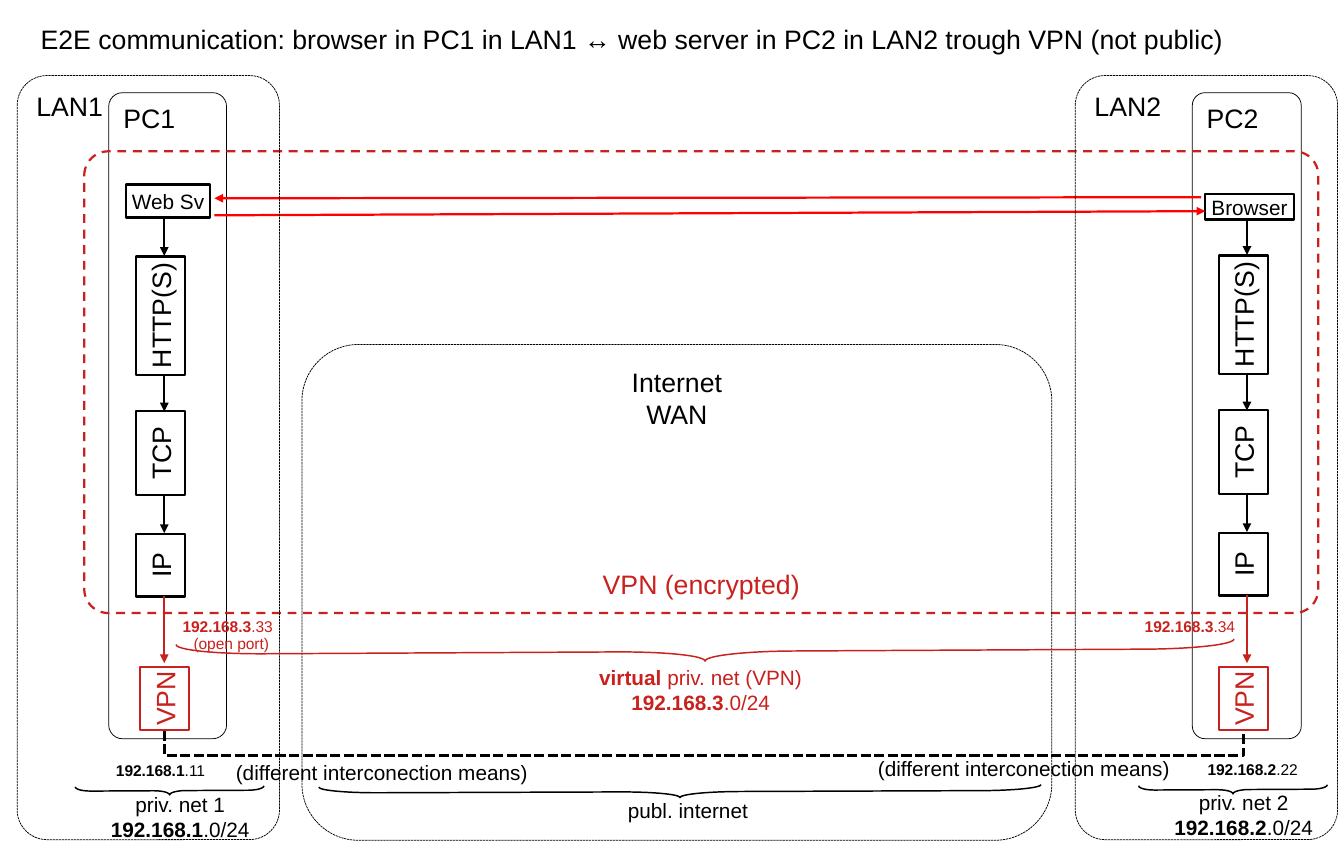
from lxml import etree
from pptx import Presentation
from pptx.dml.color import RGBColor
from pptx.enum import dml, shapes, text
from pptx.oxml import ns
from pptx.util import Pt

INK, RED, HOT = "000000", "C9211E", "FF0000"
MID, TOP, LOW = (text.MSO_ANCHOR.MIDDLE, text.MSO_ANCHOR.TOP, text.MSO_ANCHOR.BOTTOM)
MAIN, LEFT = text.PP_ALIGN.CENTER, text.PP_ALIGN.LEFT
RECT, ROUND = shapes.MSO_SHAPE.RECTANGLE, shapes.MSO_SHAPE.ROUNDED_RECTANGLE
DOTS, DASH = dml.MSO_LINE.SQUARE_DOT, dml.MSO_LINE.DASH
WIDE, NEAR = (8, 4), (7.2, 3.6)  # text insets: side, top

# Content: *stars* mark bold, a list item is a paragraph
TITLE = ("E2E communication: browser in PC1 in LAN1 ↔ web server in PC2 "
         "in LAN2 trough VPN (not public)")
HOSTS = [("PC1", (73.4, 62.6, 79.6, 436.3)), ("PC2", (804.8, 62.6, 73.6, 436.3))]
LANS = [("LAN2", 725.8), ("LAN1", 11.6)]
APPS = [("Web Sv", (85, 124.6, 56.9, 22.3)), ("Browser", (813.6, 131, 59.8, 17.3))]
# Each stack: box centre, VPN centre, arrow x, vertical shift
STACKS = [(108.3, 111.2, 110.9, 0), (839.2, 839.2, 841.7, -0.7)]
LAYERS = [("HTTP(S)", 213.1, 79.9), ("TCP", 306, 56.9), ("IP", 381.6, 42.5)]
STEPS = [(148, 172.8), (253.4, 277.9), (334.8, 360)]
FLOWS = [(810.7, 133.2, 144.7, 133.9), (144.7, 145.4, 813.6, 142.6)]
NOTES = [  # lines, centre x, centre y, size, colour
    (["*virtual* priv. net (VPN)", "*192.168.3*.0/24"], 473, 465.5, 14, RED),
    (["*192.168.3*.33"], 153.7, 423, 10.5, RED),
    (["*192.168.3*.34"], 803.2, 423, 10.5, RED),
    (["(open port)"], 156.2, 434.5, 10.5, RED),
    (["priv. net 2", "*192.168.2*.0/24"], 839.5, 550.4, 14, INK),
    (["*192.168.2*.22"], 845.6, 519.5, 10.5, INK),
    (["priv. net 1", "*192.168.1*.0/24"], 121.7, 551.2, 14, INK),
    (["*192.168.1*.11"], 108.4, 520.2, 10.5, INK),
    (["publ. internet"], 464.4, 546.9, 14, INK),
    (["(different interconection means)"], 257.8, 521.6, 14, INK),
    (["(different interconection means)"], 691.2, 518.8, 14, INK)]
BRACES = [  # centre x, centre y, depth, length, turn, colour
    (475.9, 439.9, 13, 714.2, 269.7, RED), (832.3, 533.2, 5.8, 127.4, 269.7, INK),
    (114.5, 533.9, 5.8, 127.4, 269.7, INK), (459, 534.6, 7.9, 487.4, 269.8, INK)]


def tint(code):
    return RGBColor.from_string(code)


def pts(vals):
    return [Pt(v) for v in vals]


def write(shape, lines, size, hue=INK, anchor=MID, align=MAIN, inset=WIDE):
    frame = shape.text_frame
    side, head = pts(inset)
    form = dict(word_wrap=False, auto_size=text.MSO_AUTO_SIZE.NONE,
                vertical_anchor=anchor, margin_left=side, margin_right=side,
                margin_top=head, margin_bottom=head)
    for key, val in form.items():
        setattr(frame, key, val)
    for i, line in enumerate(lines):
        para = frame.add_paragraph() if i else frame.paragraphs[0]
        para.alignment = align
        for j, part in enumerate(line.split("*")):
            if part:
                run = para.add_run()
                run.text = part
                look = dict(name="Arial", size=Pt(size), bold=j % 2 == 1)
                for key, val in look.items():
                    setattr(run.font, key, val)
                run.font.color.rgb = tint(hue)


def stroke(item, hue, width, dash=None):
    item.line.color.rgb = tint(hue)
    item.line.width = Pt(width)
    if dash:
        item.line.dash_style = dash


def draw(kind, at, hue=INK, width=1.5, dash=None, bend=None, turn=0):
    item = slide.shapes.add_shape(kind, *pts(at))
    item.shadow.inherit = False
    item.fill.background()
    stroke(item, hue, width, dash)
    if bend is not None:
        item.adjustments[0] = bend
    item.rotation = turn
    return item


def link(kind, ends, hue=INK, width=1.5, dash=None, head=True):
    item = slide.shapes.add_connector(kind, *pts(ends))
    stroke(item, hue, width, dash)
    if head:
        etree.SubElement(item.line._get_or_add_ln(), ns.qn("a:tailEnd"), type="triangle")
    etree.SubElement(item._element.spPr, ns.qn("a:effectLst"))
    return item


def arrow(*ends, hue=INK):
    link(shapes.MSO_CONNECTOR.STRAIGHT, ends, hue)


def upright(label, x, y, tall, hue=INK):
    deep = 33.1
    box = draw(RECT, (x - tall / 2, y - deep / 2, tall, deep), hue, turn=270)
    write(box, [label], 18, hue)


deck = Presentation()
deck.slide_width, deck.slide_height = pts((907.2, 576))
slide = deck.slides.add_slide(deck.slide_layouts[5])

# Title
title = slide.shapes.title
title.left, title.top, title.width, title.height = pts((20.2, 11.5, 852.5, 27.4))
write(title, [TITLE], 18, anchor=TOP, align=LEFT, inset=NEAR)

# Hosts, and the VPN zone that spans them
for name, at in HOSTS:
    write(draw(ROUND, at, width=0.5, bend=0.118), [name], 18,
          anchor=TOP, align=LEFT, inset=NEAR)
zone = draw(ROUND, (56.9, 102.2, 833, 311.8), RED, dash=DASH, bend=0.052)
write(zone, ["VPN (encrypted)"], 18, RED, LOW)

# Physical path: a U-shaped elbow, turned so that it drops below the hosts
mid_x, mid_y, thin, span, drop = 475.2, 493.2, 0.25, 728.6, 16.5
x, y = mid_x - thin / 2, mid_y - span / 2
path = link(shapes.MSO_CONNECTOR.ELBOW, (x + thin, y + span, x, y), width=2.3,
            dash=DOTS, head=False)
path.rotation = 90
geom = path._element.spPr.find(ns.qn("a:prstGeom"))
avs = geom.find(ns.qn("a:avLst"))
if avs is None:
    avs = etree.SubElement(geom, ns.qn("a:avLst"))
etree.SubElement(avs, ns.qn("a:gd"), name="adj1",
                 fmla=f"val {round(-drop / thin * 100000)}")

# Applications and their traffic
for name, at in APPS:
    write(draw(RECT, at), [name], 14)
for ends in FLOWS:
    arrow(*ends, hue=HOT)

# Protocol stacks
for x, base, stem, shift in STACKS:
    for name, y, tall in LAYERS:
        upright(name, x, y + shift, tall)
    upright("VPN", base, 471.6, 42.5, RED)
    for y, end in STEPS:
        arrow(stem, y + shift, stem, end + shift)
    arrow(stem, 402.5 + shift, stem, 447.8, hue=RED)

# Networks
for name, x in LANS:
    write(draw(ROUND, (x, 51, 177.1, 516), width=0.5, dash=DOTS, bend=0.114),
          [name], 18, anchor=TOP, align=LEFT, inset=NEAR)
wan = draw(ROUND, (203.8, 232.6, 506.2, 334.8), width=0.5, dash=DOTS, bend=0.114)
write(wan, ["Internet", "WAN"], 18, anchor=TOP, inset=NEAR)

# Braces: each curve takes a twelfth of the length
for x, y, deep, span, turn, hue in BRACES:
    draw(shapes.MSO_SHAPE.LEFT_BRACE, (x - deep / 2, y - span / 2, deep, span),
         hue, 1, bend=span / 12 / deep, turn=turn)

# Address and network notes
for lines, x, y, size, hue in NOTES:
    wide, tall = (90.7 if len(lines) > 1 else 57.6), 22.3
    note = slide.shapes.add_textbox(*pts((x - wide / 2, y - tall / 2, wide, tall)))
    write(note, lines, size, hue)

deck.save("out.pptx")
